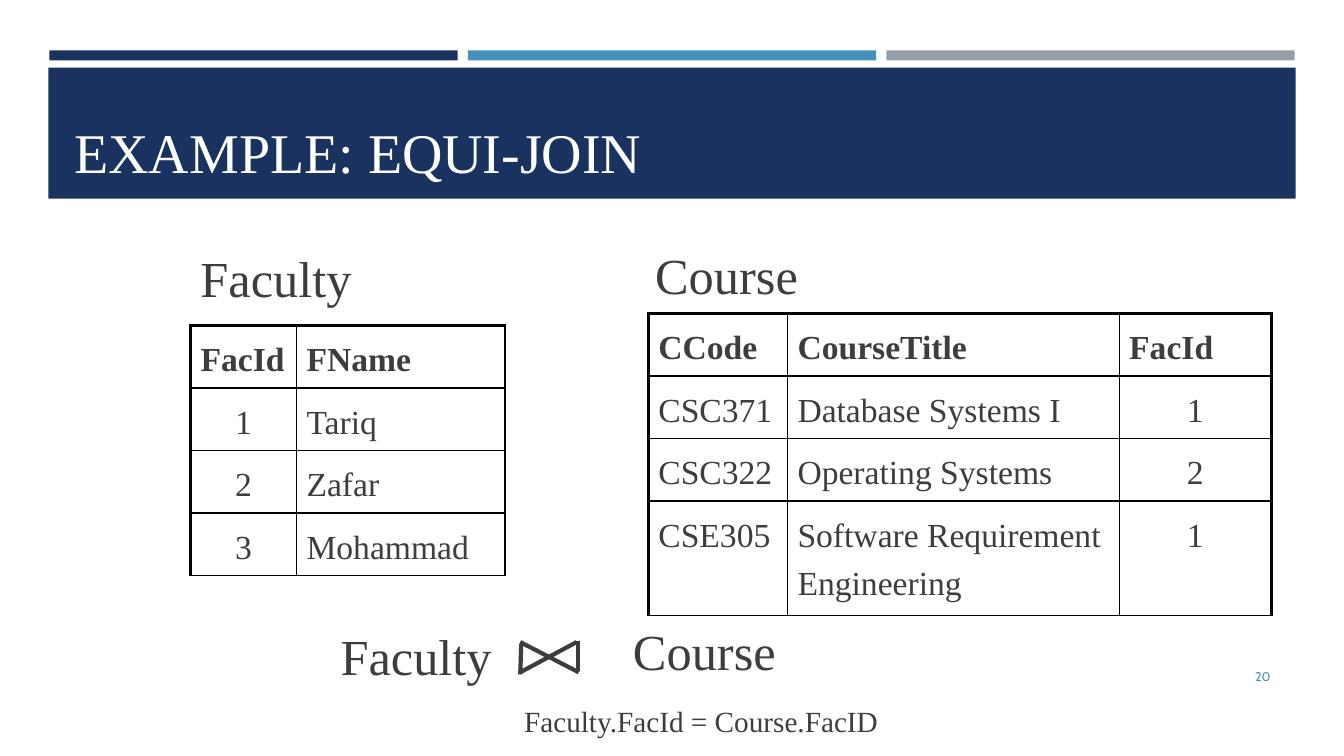
from lxml.etree import SubElement
from pptx import Presentation
from pptx.dml.color import RGBColor
from pptx.enum.shapes import MSO_CONNECTOR as Connector, MSO_SHAPE as Shape
from pptx.enum.text import MSO_ANCHOR as Anchor, PP_ALIGN as Align
from pptx.oxml.ns import qn
from pptx.util import Inches, Pt

NAVY = RGBColor(0x1A, 0x32, 0x60)
BLUE = RGBColor(0x45, 0x90, 0xB8)
GREY = RGBColor(0x96, 0x9F, 0xA7)
INK = RGBColor(0x3D, 0x3D, 0x3D)
BLACK = RGBColor(0, 0, 0)
WHITE = RGBColor(0xFF, 0xFF, 0xFF)


class JoinSlide:
    """Holds the text style and the slide being drawn."""
    font = "Times New Roman"
    thick, thin = 2.25, 1

    def __init__(self, slide):
        self.shapes = slide.shapes

    def bar(self, left, top, width, height, color):
        bar = self.shapes.add_shape(Shape.RECTANGLE, Inches(left), Inches(top),
                                    Inches(width), Inches(height))
        bar.shadow.inherit = False
        bar.fill.solid()
        bar.fill.fore_color.rgb = color
        bar.line.fill.background()

    def set_words(self, frame, words, size, color=INK, bold=False, align=Align.LEFT, font=None):
        frame.text = words
        paragraph = frame.paragraphs[0]
        paragraph.alignment = align
        run = paragraph.runs[0]
        run.font.name = font or self.font
        run.font.size = Pt(size)
        run.font.bold = bold
        run.font.color.rgb = color
        return paragraph

    def text(self, words, left, top, width, height, size=36, anchor=Anchor.TOP, **style):
        frame = self.shapes.add_textbox(Inches(left), Inches(top),
                                        Inches(width), Inches(height)).text_frame
        frame.word_wrap = True
        frame.vertical_anchor = anchor
        return self.set_words(frame, words, size, **style)

    def line(self, x1, y1, x2, y2):
        line = self.shapes.add_connector(Connector.STRAIGHT, Inches(x1), Inches(y1),
                                         Inches(x2), Inches(y2))
        line.line.color.rgb = INK
        line.line.width = Pt(3)
        SubElement(line._element.spPr, qn("a:effectLst"))

    def border(self, cell, widths):
        properties = cell._tc.get_or_add_tcPr()
        for place, (side, width) in enumerate(widths.items()):
            edge = properties.makeelement(qn(f"a:{side}"), {"w": str(Pt(width))})
            fill = SubElement(edge, qn("a:solidFill"))
            SubElement(fill, qn("a:srgbClr"), val=str(BLACK))
            properties.insert(place, edge)

    def table(self, left, top, columns, rows, row_height=0.57):
        """Thick frame on three sides, thin rules elsewhere; numbers are centred."""
        table = self.shapes.add_table(
            len(rows), len(columns), Inches(left), Inches(top),
            Inches(sum(columns)), Inches(row_height * len(rows))).table
        for column, width in zip(table.columns, columns):
            column.width = Inches(width)
        last = len(columns) - 1
        for r, row in enumerate(rows):
            table.rows[r].height = Inches(row_height)
            for c, words in enumerate(row):
                cell = table.cell(r, c)
                cell.fill.solid()
                cell.fill.fore_color.rgb = WHITE
                align = Align.CENTER if words.isdigit() else Align.LEFT
                paragraph = self.set_words(cell.text_frame, words, 24, bold=r == 0, align=align)
                paragraph.line_spacing = 1.3
                self.border(cell, {
                    "lnL": self.thick if c == 0 else self.thin,
                    "lnR": self.thick if c == last else self.thin,
                    "lnT": self.thick if r == 0 else self.thin,
                    "lnB": self.thin,
                })


def main():
    deck = Presentation()
    deck.slide_width, deck.slide_height = Inches(13.33), Inches(7.5)
    page = JoinSlide(deck.slides.add_slide(deck.slide_layouts[6]))

    # Header band and title
    for i, color in enumerate((NAVY, BLUE, GREY)):
        page.bar(0.49 + 4.15 * i, 0.5, 4.05, 0.1, color)
    page.bar(0.48, 0.67, 12.37, 1.3, NAVY)
    page.text("EXAMPLE: EQUI-JOIN", 0.64, 0.77, 12.06, 1.11, size=40,
              anchor=Anchor.BOTTOM, color=WHITE)

    # The two relations
    page.table(6.43, 3.11, (1.38, 3.29, 1.51), (
        ("CCode", "CourseTitle", "FacId"),
        ("CSC371", "Database Systems I", "1"),
        ("CSC322", "Operating Systems", "2"),
        ("CSE305", "Software Requirement Engineering", "1"),
    ))
    page.table(1.89, 3.23, (1.05, 2.07), (
        ("FacId", "FName"),
        ("1", "Tariq"),
        ("2", "Zafar"),
        ("3", "Mohammad"),
    ))
    page.text("Faculty", 1.89, 2.4, 2.27, 0.71)
    page.text("Course", 6.4, 2.37, 2.27, 0.71)

    # Join expression with its bow-tie symbol
    for ends in ((5.16, 6.37, 5.74, 6.67), (5.16, 6.67, 5.72, 6.37),
                 (5.17, 6.39, 5.16, 6.69), (5.73, 6.36, 5.73, 6.66)):
        page.line(*ends)
    page.text("Faculty", 3.28, 6.15, 1.73, 0.71)
    page.text("Course", 6.18, 6.1, 1.63, 0.71)
    condition = page.text("Faculty.FacId = Course.FacID", 5.1, 6.59, 6.41, 0.51)
    condition.runs[0].font._element.set("baseline", "-25000")

    # Slide number
    page.text("20", 11.55, 6.51, 1.15, 0.4, size=9, anchor=Anchor.MIDDLE,
              color=BLUE, align=Align.RIGHT, font="Cabin")

    deck.save("out.pptx")


if __name__ == "__main__":
    main()
